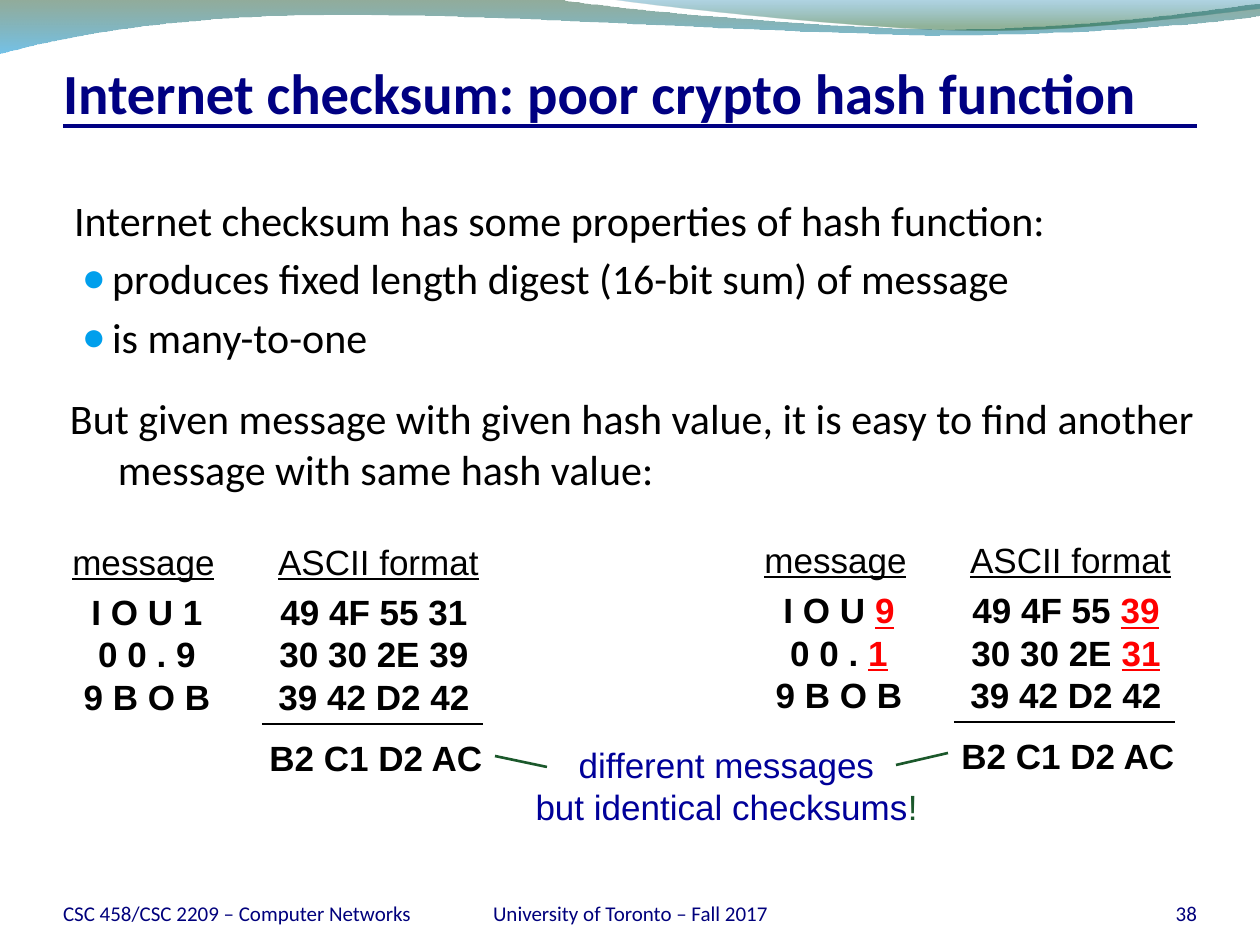
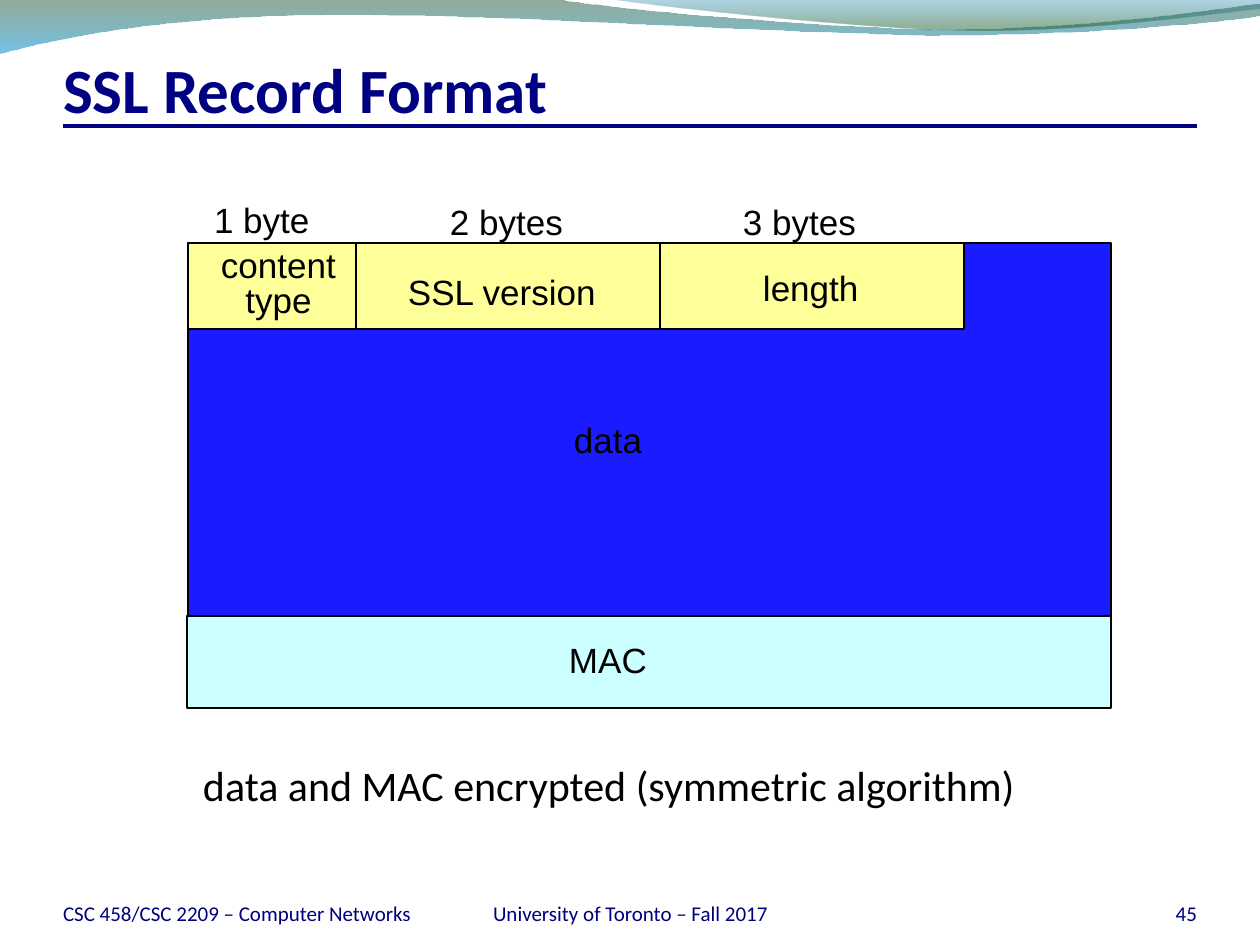
"""Build two network security slides: checksum weakness and SSL record format."""
import dataclasses

import pptx
import pptx.dml.color
import pptx.enum.shapes
import pptx.enum.text
import pptx.oxml
import pptx.oxml.ns
import pptx.util

SCALE = 914400 / 126
ALIGN = pptx.enum.text.PP_ALIGN
ANCHOR = pptx.enum.text.MSO_ANCHOR
FIT = pptx.enum.text.MSO_AUTO_SIZE
SPACE = pptx.oxml.ns.nsdecls("a")


@dataclasses.dataclass(frozen=True)
class Theme:
    head: str = "000082"
    foot: str = "00007C"
    ink: str = "000000"
    hot: str = "FF0000"
    note: str = "000099"
    green: str = "1B582B"
    dot: str = "009FEC"
    data: str = "1B1BFF"
    field: str = "FFFF99"
    mac: str = "CCFFFF"
    wave: tuple = ((0, "0F461E", 45), (100, "0090D6", 55))
    crest: tuple = ((0, "0076AF", 30), (80, "0D5821", 45))
    sans: str = "Calibri"
    plain: str = "Arial"
    title: float = 36
    tight: float = 32.4
    body: float = 24
    label: float = 20
    small: float = 12


def emu(*values):
    return [round(v * SCALE) for v in values]


def rgb(code):
    return pptx.dml.color.RGBColor.from_string(code)


def node(xml):
    return pptx.oxml.parse_xml(f"<a:root {SPACE}>{xml}</a:root>")[0]


def write(frame, text, size, color, font, bold=False, under=False, align=ALIGN.LEFT,
          hot=None, mark=False, lead=None, before=0):
    frame.text = text.replace("*", "")
    for para, line in zip(frame.paragraphs, text.split("\n")):
        para.clear()
        para.alignment = align
        para.space_before = pptx.util.Pt(before)
        if lead:
            para.line_spacing = pptx.util.Pt(lead)
        for i, part in enumerate(line.split("*")):
            run = para.add_run()
            run.text = part
            run.font.size = pptx.util.Pt(size)
            run.font.name = font
            run.font.bold = bold
            run.font.underline = under or (mark and i > 0)
            run.font.color.rgb = rgb(hot if i else color)


def indent(para, left, first, dot=None):
    props = para._p.get_or_add_pPr()
    props.set("marL", str(emu(left)[0]))
    props.set("indent", str(emu(first)[0]))
    if not dot:
        props.append(node("<a:buNone/>"))
        return
    props.append(node(f'<a:buClr><a:srgbClr val="{dot}"/></a:buClr>'))
    props.append(node('<a:buSzPct val="95000"/>'))
    props.append(node('<a:buChar char="●"/>'))


def bend(shape, legs):
    lines = iter(list(shape.element.iter(pptx.oxml.ns.qn("a:lnTo"))))
    for leg in legs:
        group = [next(lines) for _ in leg]
        if len(group) == 3:
            curve = node("<a:cubicBezTo/>")
            group[0].addprevious(curve)
            for line in group:
                curve.append(line[0])
                line.getparent().remove(line)


class Deck:
    def __init__(self, theme):
        self.theme = theme
        self.show = pptx.Presentation()
        self.show.slide_width, self.show.slide_height = emu(1260, 945)
        self.slide = None

    def start(self, layout, title, number, size=None):
        first = self.slide is None
        self.slide = self.show.slides.add_slide(self.show.slide_layouts[layout])
        if first:
            self.share()
        look = self.theme
        head = self.place(self.slide.shapes.title, 63, 42, 1134, 84)
        self.frame(head.text_frame, ANCHOR.BOTTOM, (0, 6, 0, 0))
        write(head.text_frame, title, size or look.title, look.head, look.sans, bold=True)
        self.footer(1092, 105, number, ALIGN.RIGHT)

    def share(self):
        look = self.theme
        parts = [
            self.band(look.wave, (0, -1), [(554, -1)],
                      [(600, 8), (837, 29), (955, 29)], [(1075, 29), (1207, 11), (1260, 4)],
                      [(1261, 16)], [(1239, 20), (1096, 35), (940, 35)],
                      [(784, 34), (481, 13), (324, 15)], [(163, 16), (58, 38), (-1, 53)]),
            self.band(look.crest, (604, -1), [(641, 5), (859, 29), (969, 30)],
                      [(1079, 32), (1211, 14), (1260, 9)], [(1260, -1)]),
            self.line(63, 126, 1197, 126, look.head, 2.25),
            self.footer(63, 357, "CSC 458/CSC 2209 – Computer Networks", ALIGN.LEFT),
            self.footer(431, 399, "University of Toronto – Fall 2017", ALIGN.CENTER)]
        for part in parts:
            self.show.slide_master.shapes.element.append(part.element)

    def place(self, shape, *box):
        shape.left, shape.top, shape.width, shape.height = emu(*box)
        return shape

    def frame(self, frame, anchor=ANCHOR.TOP, inset=(12, 6, 12, 6), wrap=True):
        frame.word_wrap = wrap
        frame.auto_size = FIT.NONE if wrap else FIT.SHAPE_TO_FIT_TEXT
        frame.vertical_anchor = anchor
        (frame.margin_left, frame.margin_top,
         frame.margin_right, frame.margin_bottom) = emu(*inset)

    def text(self, box, text, wrap=False, **style):
        look = self.theme
        shape = self.slide.shapes.add_textbox(*emu(*box))
        self.frame(shape.text_frame, wrap=wrap)
        write(shape.text_frame, text, **{"size": look.label, "color": look.ink,
                                         "font": look.plain, **style})
        return shape

    def footer(self, left, width, text, align):
        look = self.theme
        shape = self.text((left, 876, width, 50), text, wrap=True, size=look.small,
                          color=look.foot, font=look.sans, align=align)
        self.frame(shape.text_frame, ANCHOR.BOTTOM, (0, 0, 0, 0))
        return shape

    def body(self, box, text):
        look = self.theme
        shape = self.place(self.slide.placeholders[1], *box)
        self.frame(shape.text_frame)
        write(shape.text_frame, text, look.body, look.ink, look.sans, before=4.8)
        first, *rest = shape.text_frame.paragraphs
        indent(first, 38, -38)
        for para in rest:
            indent(para, 38, -30, look.dot)

    def rect(self, box, fill):
        shape = self.slide.shapes.add_shape(
            pptx.enum.shapes.MSO_SHAPE.RECTANGLE, *emu(*box))
        shape.shadow.inherit = False
        shape.fill.solid()
        shape.fill.fore_color.rgb = rgb(fill)
        shape.line.color.rgb = rgb(self.theme.ink)
        shape.line.width = pptx.util.Pt(0.75)

    def line(self, x1, y1, x2, y2, color, width=0.75):
        line = self.slide.shapes.add_connector(
            pptx.enum.shapes.MSO_CONNECTOR.STRAIGHT, *emu(x1, y1, x2, y2))
        line.line.color.rgb = rgb(color)
        line.line.width = pptx.util.Pt(width)
        line.element.spPr.append(node("<a:effectLst/>"))
        return line

    def band(self, stops, start, *legs):
        pen = self.slide.shapes.build_freeform(*emu(*start), scale=1.0)
        pen.add_line_segments([emu(*point) for leg in legs for point in leg], close=True)
        shape = pen.convert_to_shape()
        bend(shape, legs)
        shape.shadow.inherit = False
        shape.line.fill.background()
        shape.fill.background()
        steps = "".join(
            f'<a:gs pos="{at * 1000}"><a:srgbClr val="{color}">'
            f'<a:alpha val="{alpha * 1000}"/></a:srgbClr></a:gs>' for at, color, alpha in stops)
        props = shape.element.spPr
        props.replace(props.find(pptx.oxml.ns.qn("a:noFill")), node(
            f'<a:gradFill><a:gsLst>{steps}</a:gsLst><a:lin ang="5400000" scaled="0"/></a:gradFill>'))
        return shape

    def sample(self, x, y, words, codes):
        look = self.theme
        mid = {"align": ALIGN.CENTER}
        strong = {**mid, "bold": True, "hot": look.hot, "mark": True}
        self.text((x + 12, y + 51, 152, 140), words, **strong)
        self.text((x + 206, y + 51, 218, 140), codes, **strong)
        self.text((x, y, 169, 55), "message", under=True, **mid)
        self.text((x + 206, y, 227, 55), "ASCII format", under=True, **mid)
        self.line(x + 203, y + 190, x + 424, y + 190, look.ink)
        self.text((x + 197, y + 196, 240, 55), "B2 C1 D2 AC", **strong)


def main():
    look = Theme()
    deck = Deck(look)

    deck.start(1, "Internet checksum: poor crypto hash function", "38", size=look.tight)
    deck.body((62, 188, 1160, 292),
              "Internet checksum has some properties of hash function:\n"
              "produces fixed length digest (16-bit sum) of message\n"
              "is many-to-one")
    claim = deck.text((58, 387, 1160, 135),
                      "But given message with given hash value, it is easy to find "
                      "another message with same hash value:",
                      wrap=True, size=look.body, font=look.sans, before=4.8)
    indent(claim.text_frame.paragraphs[0], 48, -48)
    deck.sample(59, 534, "I O U 1\n0 0 . 9\n9 B O B",
                "49 4F 55 31\n30 30 2E 39\n39 42 D2 42")
    deck.sample(751, 532, "I O U *9\n0 0 . *1\n9 B O B",
                "49 4F 55 *39\n30 30 2E *31\n39 42 D2 42")
    deck.text((515, 737, 423, 97), "different messages\nbut identical checksums*!",
              color=look.note, hot=look.green, align=ALIGN.CENTER)
    deck.line(547, 767, 495, 756, look.green, 1.5)
    deck.line(896, 765, 948, 753, look.green, 1.5)

    deck.start(5, "SSL Record Format", "45")
    deck.rect((188, 243, 923, 394), look.data)
    left = 188
    for width in (168, 304, 304):
        deck.rect((left, 243, width, 86), look.field)
        left += width
    deck.rect((187, 616, 924, 92), look.mac)
    deck.text((208, 244, 141, 83), "content\ntype", align=ALIGN.CENTER, lead=20)
    for x, y, width, name in ((396, 264, 214, "SSL version"), (751, 260, 122, "length"),
                              (557, 632, 105, "MAC"), (562, 412, 95, "data"),
                              (202, 192, 122, "1 byte"), (438, 194, 139, "2 bytes"),
                              (731, 194, 139, "3 bytes")):
        deck.text((x, y, width, 55), name)
    deck.text((191, 754, 850, 64), "data and MAC encrypted (symmetric algorithm)",
              size=look.body, font=look.sans)
    deck.show.save("out.pptx")


main()
